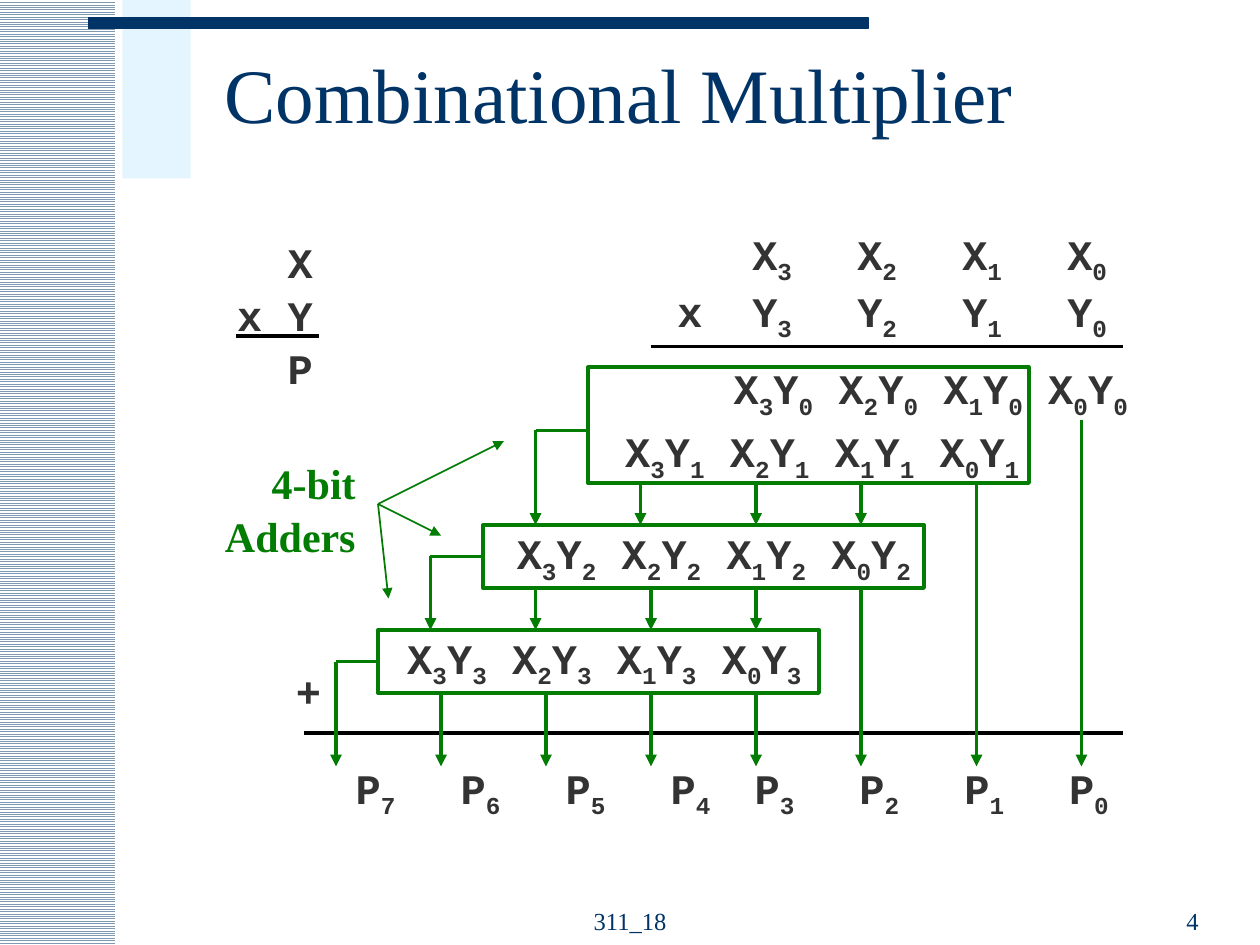
import itertools

import pptx
import pptx.dml.color
import pptx.enum.dml
import pptx.enum.shapes
import pptx.enum.text
import pptx.oxml
import pptx.oxml.ns
import pptx.util

Pt = pptx.util.Pt
RGBColor = pptx.dml.color.RGBColor
Align = pptx.enum.text.PP_ALIGN
Anchor = pptx.enum.text.MSO_ANCHOR
qn = pptx.oxml.ns.qn

NAVY = RGBColor(0x00, 0x33, 0x66)
STRIPE_BLUE = RGBColor(0x80, 0x99, 0xB3)
PALE_BLUE = RGBColor(0xCC, 0xEC, 0xFF)
WHITE = RGBColor(0xFF, 0xFF, 0xFF)
BLACK = RGBColor(0x00, 0x00, 0x00)
GREY = RGBColor(0x33, 0x33, 0x33)
GREEN = RGBColor(0x03, 0x7C, 0x03)
SERIF, MONO = "Times New Roman", "Courier New"
INSET = 7.2
FIRST_SPACE = 5.4
LINE_GAP = 1.4

TITLE = "Combinational Multiplier"
FOOTERS = [("311_18", (294, 502, 132, 36), Align.CENTER),
           ("4", (519, 502, 173, 36), Align.RIGHT)]
SUMMARY = ["X", "x Y", "P"]
ADDER_LABEL = ["4-bit", "Adders"]
OPERANDS = ["\tX3\tX2\tX1\tX0", "x\tY3\tY2\tY1\tY0"]
OPERAND_COLUMNS = [430, 490, 550, 610]
PRODUCT = ["P7\tP6\tP5\tP4\tP3\tP2\tP1\tP0"]
PRODUCT_COLUMNS = [263.4, 323.4, 383.4, 431.4, 491.2, 551.2, 611]
PARTIAL_PRODUCTS = [(401.8, 203.8), (339.8, 239.8), (277.9, 298.1), (215.3, 357.8)]

RESULT_Y = 438
ADDER_WIDTH = 252
LABEL_POINT = (216, 288)
# Each adder: left, top, height, carry (x, y), y of the next stage,
# sum columns to the next stage, columns to the result, label arrow end
ADDERS = [
    (336, 210, 66, (306, 246), 300, [366, 432, 492], [558], (288, 252)),
    (276, 300, 36, (246, 318), 360, [306, 372, 432], [492], (252, 306)),
    (216, 360, 36, (192, 378), RESULT_Y, [], [252, 312, 372, 432], (222, 342)),
]
RULES = [((134.6, 192), (182.2, 192)),
         ((372, 198), (642, 198)),
         ((174, 419), (642, 419))]


def add_runs(paragraph, text, size, font_name, color, bold=False, subscripts=False):
    """Add text as runs; with subscripts, digits become lowered runs."""
    pieces = [(False, text)]
    if subscripts:
        pieces = [(lowered, "".join(letters))
                  for lowered, letters in itertools.groupby(text, str.isdigit)]
    for lowered, piece in pieces:
        run = paragraph.add_run()
        run.text = piece
        run.font.size = Pt(size)
        run.font.name = font_name
        run.font.bold = bold
        run.font.color.rgb = color
        if lowered:
            run._r.get_or_add_rPr().set("baseline", "-25000")


def set_tabs(paragraph, positions):
    properties = paragraph._p.get_or_add_pPr()
    tab_list = pptx.oxml.parse_xml(
        '<a:tabLst xmlns:a="http://schemas.openxmlformats.org/drawingml/2006/main"/>')
    for position in positions:
        tab = tab_list.makeelement(qn("a:tab"), {"pos": str(int(Pt(position))), "algn": "l"})
        tab_list.append(tab)
    properties.append(tab_list)


def add_text(slide, box, lines, align=Align.RIGHT, font_name=MONO, color=GREY,
             line_gap=LINE_GAP, columns=()):
    """Add bold 24 pt lines; columns are tab positions measured from the slide edge."""
    frame = slide.shapes.add_textbox(*map(Pt, box)).text_frame
    frame.word_wrap = True
    if columns:
        frame.margin_right = Pt(0)
    for index, line in enumerate(lines):
        paragraph = frame.paragraphs[0] if index == 0 else frame.add_paragraph()
        paragraph.alignment = align
        paragraph.space_before = Pt(line_gap if index else FIRST_SPACE)
        if columns:
            set_tabs(paragraph, [column - box[0] - INSET for column in columns])
        add_runs(paragraph, line, 24, font_name, color, True, font_name == MONO)


def add_line(slide, start, end, color=GREEN, width=2.25, arrow=False):
    line = slide.shapes.add_connector(
        pptx.enum.shapes.MSO_CONNECTOR.STRAIGHT, *map(Pt, start + end))
    line.line.color.rgb = color
    line.line.width = Pt(width)
    if arrow:
        outline = line.line._get_or_add_ln()
        outline.append(outline.makeelement(qn("a:tailEnd"), {"type": "triangle"}))
    properties = line._element.spPr
    properties.append(properties.makeelement(qn("a:effectLst"), {}))


def add_rectangle(slide, *box):
    shape = slide.shapes.add_shape(
        pptx.enum.shapes.MSO_SHAPE.RECTANGLE, *map(Pt, box))
    shape.shadow.inherit = False
    shape.line.fill.background()
    return shape


def add_decoration(slide):
    stripes = add_rectangle(slide, 0, 0, 66, 540)
    stripes.fill.patterned()
    stripes.fill.pattern = pptx.enum.dml.MSO_PATTERN.LIGHT_HORIZONTAL
    stripes.fill.fore_color.rgb = STRIPE_BLUE
    stripes.fill.back_color.rgb = WHITE

    panel = add_rectangle(slide, 70, 0, 39, 102)
    panel.fill.solid()
    panel.fill.fore_color.rgb = PALE_BLUE
    color = panel._element.spPr.find(".//" + qn("a:srgbClr"))
    color.append(color.makeelement(qn("a:alpha"), {"val": "50000"}))

    bar = add_rectangle(slide, 50.4, 10, 445.7, 6.3)
    bar.fill.solid()
    bar.fill.fore_color.rgb = NAVY
    bar.line.color.rgb = NAVY
    bar.line.width = Pt(0.75)


def add_title(slide):
    title = slide.shapes.title
    title.left, title.top, title.width, title.height = map(Pt, (121, 12, 581, 90))
    title.text_frame.vertical_anchor = Anchor.MIDDLE
    paragraph = title.text_frame.paragraphs[0]
    paragraph.alignment = Align.LEFT
    paragraph.line_spacing = 0.85
    add_runs(paragraph, TITLE, 44, SERIF, NAVY)


def add_footers(slide):
    for text, box, align in FOOTERS:
        frame = slide.shapes.add_textbox(*map(Pt, box)).text_frame
        frame.word_wrap = True
        frame.vertical_anchor = Anchor.BOTTOM
        frame.paragraphs[0].alignment = align
        add_runs(frame.paragraphs[0], text, 14, SERIF, NAVY)


def add_adder(slide, left, top, height, carry, next_y, sums, results, label_end):
    box = add_rectangle(slide, left, top, ADDER_WIDTH, height)
    box.fill.background()
    box.line.color.rgb = GREEN
    box.line.width = Pt(2.25)
    bottom = top + height
    for x in sums:
        add_line(slide, (x, bottom), (x, next_y), arrow=True)
    for x in results:
        add_line(slide, (x, bottom), (x, RESULT_Y), arrow=True)
    add_line(slide, carry, (carry[0], next_y), arrow=True)
    add_line(slide, carry, (left, carry[1]))
    add_line(slide, LABEL_POINT, label_end, width=1, arrow=True)


def main():
    presentation = pptx.Presentation()
    presentation.slide_width, presentation.slide_height = Pt(720), Pt(540)
    slide = presentation.slides.add_slide(presentation.slide_layouts[5])
    add_decoration(slide)
    add_title(slide)
    add_footers(slide)

    add_text(slide, (128, 131.8, 57.8, 93.6), SUMMARY)
    add_text(slide, (380, 126.8, 260, 64.8), OPERANDS, Align.LEFT,
             line_gap=0, columns=OPERAND_COLUMNS)
    for y_index, (left, top) in enumerate(PARTIAL_PRODUCTS):
        row = " ".join(f"X{x_index}Y{y_index}" for x_index in (3, 2, 1, 0))
        add_text(slide, (left, top, 249.8, 36), [row])
    add_text(slide, (196.2, 432, 446, 36), PRODUCT, Align.LEFT, columns=PRODUCT_COLUMNS)
    add_text(slide, (162, 376.6, 29, 36), ["+"], Align.LEFT)
    add_text(slide, (121, 257.8, 89.3, 64.8), ADDER_LABEL, font_name=SERIF, color=GREEN)

    for start, end in RULES:
        add_line(slide, start, end, BLACK)
    add_line(slide, (618, 240), (618, RESULT_Y), arrow=True)
    for adder in ADDERS:
        add_adder(slide, *adder)
    presentation.save("out.pptx")


if __name__ == "__main__":
    main()
